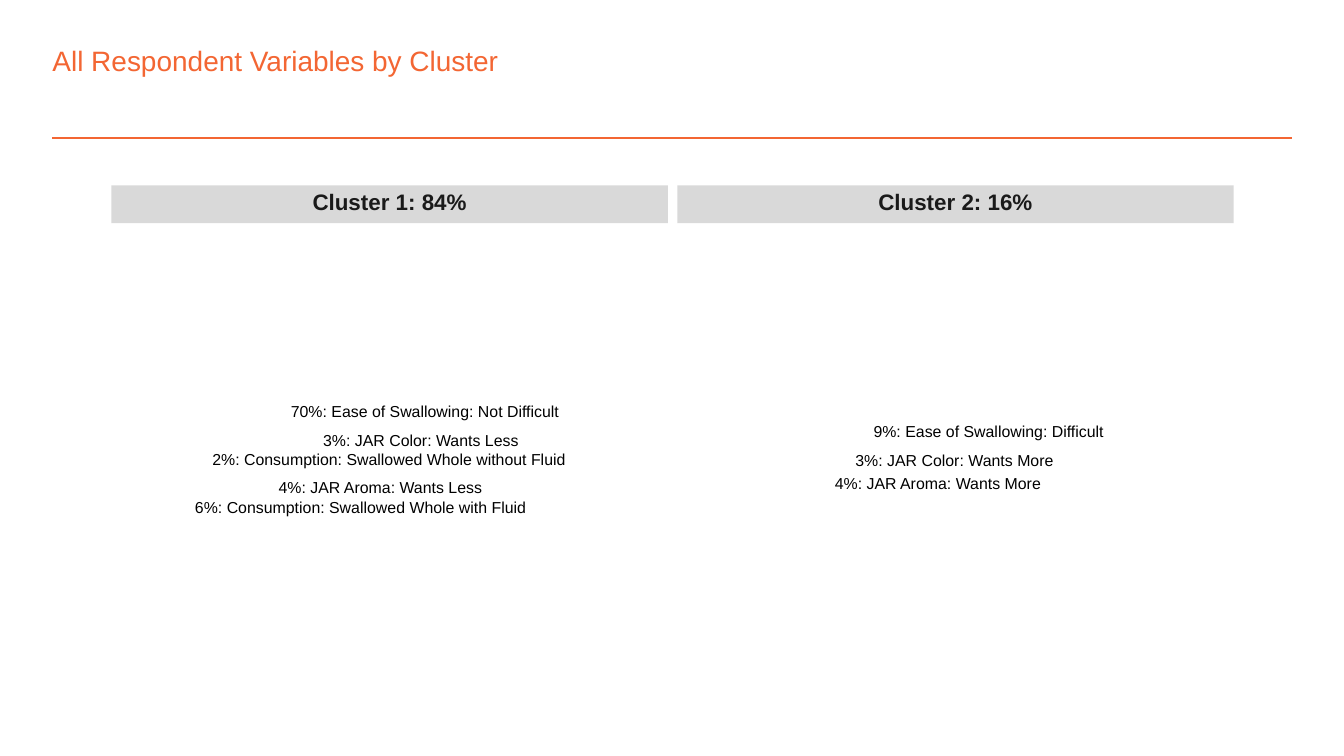
"""Build a slide that maps respondent variables by cluster."""
from pptx import Presentation
from pptx.dml.color import RGBColor as RGB
from pptx.enum.shapes import MSO_CONNECTOR as CONN, MSO_SHAPE as SHAPE
from pptx.enum.text import MSO_ANCHOR as ANCHOR, PP_ALIGN as ALIGN
from pptx.oxml.ns import qn
from pptx.util import Inches, Pt

TITLE = "All Respondent Variables by Cluster"
CLUSTERS = ["Cluster 1: 84%", "Cluster 2: 16%"]
LABELS = [
    ("2%: Consumption: Swallowed Whole without Fluid", 25.3, 53.2, 2.64, 0.11),
    ("3%: JAR Color: Wants Less", 28.05, 49.7, 1.46, 0.09),
    ("4%: JAR Aroma: Wants Less", 24.57, 58.5, 1.53, 0.09),
    ("6%: Consumption: Swallowed Whole with Fluid", 22.78, 62.2, 2.47, 0.11),
    ("70%: Ease of Swallowing: Not Difficult", 28.4, 44.2, 2.0, 0.11),
    ("3%: JAR Color: Wants More", 74.76, 53.4, 1.48, 0.09),
    ("4%: JAR Aroma: Wants More", 73.37, 57.7, 1.55, 0.09),
    ("9%: Ease of Swallowing: Difficult", 77.76, 48.0, 1.72, 0.11),
]
THEME = {
    "title": {"name": "Arial", "size": Pt(15), "color": "F36633"},
    "header": {"name": "Arial", "size": Pt(12), "bold": True, "color": "1A1A1A"},
    "label": {"name": "Arial", "size": Pt(8.5), "color": "000000"},
    "plot": "FFFFFF",
    "bar": "D9D9D9",
}
W = 10
H = W * 9 / 16
MARGIN = 0.39
PLOT_X, PLOT_Y, PLOT_W, PLOT_H = 0.75, 1.3, 8.5, 4
PAD, GAP, BAR_H = 0.08, 0.07, 0.28
BAR_W = 4.14


def add_text(shapes, text, box, style, **frame):
    tf = shapes.add_textbox(*map(Inches, box)).text_frame
    frame = {"word_wrap": False, "vertical_anchor": ANCHOR.MIDDLE, **frame}
    for side in ("left", "right", "top", "bottom"):
        frame[f"margin_{side}"] = 0
    for key, value in frame.items():
        setattr(tf, key, value)
    p = tf.paragraphs[0]
    p.alignment = ALIGN.LEFT
    r = p.add_run()
    r.text = text
    for key, value in THEME[style].items():
        if key == "color":
            r.font.color.rgb = RGB.from_string(value)
        else:
            setattr(r.font, key, value)
    return p


def add_centred(shapes, text, cx, cy, w, h, style):
    p = add_text(shapes, text, (cx - w / 2, cy - h / 2, w, h), style)
    p.line_spacing = THEME[style]["size"]


def add_rect(shapes, box, color):
    sp = shapes.add_shape(SHAPE.RECTANGLE, *map(Inches, box))
    sp.shadow.inherit = False
    sp.fill.solid()
    sp.fill.fore_color.rgb = RGB.from_string(color)
    sp.line.fill.background()
    return sp


def add_rule(shapes, y):
    ends = map(Inches, (MARGIN, y, W - MARGIN, y))
    rule = shapes.add_connector(CONN.STRAIGHT, *ends)
    rule.line.width = Pt(1)
    rule.line.color.rgb = RGB.from_string(THEME["title"]["color"])
    sp_pr = rule._element.spPr
    sp_pr.append(sp_pr.makeelement(qn("a:effectLst"), {}))


def main():
    prs = Presentation()
    prs.slide_width, prs.slide_height = Inches(W), Inches(H)
    s = prs.slides.add_slide(prs.slide_layouts[6])
    add_rule(s.shapes, 1.03)
    add_text(s.shapes, TITLE, (MARGIN, 0.32, 8.29, 0.25), "title",
             word_wrap=True, vertical_anchor=ANCHOR.TOP)

    plot = s.shapes.add_group_shape().shapes
    frame = add_rect(plot, (PLOT_X, PLOT_Y, PLOT_W, PLOT_H), THEME["plot"])
    frame.line.color.rgb = RGB.from_string(THEME["plot"])
    frame.line.width = Pt(0.75)
    for text, x, y, w, h in LABELS:
        add_centred(plot, text, PLOT_X + PLOT_W * x / 100,
                    PLOT_Y + PLOT_H * y / 100, w, h, "label")
    for i, text in enumerate(CLUSTERS):
        x, y = PLOT_X + PAD + i * (BAR_W + GAP), PLOT_Y + PAD
        add_rect(plot, (x, y, BAR_W, BAR_H), THEME["bar"])
        add_centred(plot, text, x + BAR_W / 2, y + BAR_H / 2, 1.15, 0.13, "header")
    prs.save("out.pptx")


if __name__ == "__main__":
    main()
